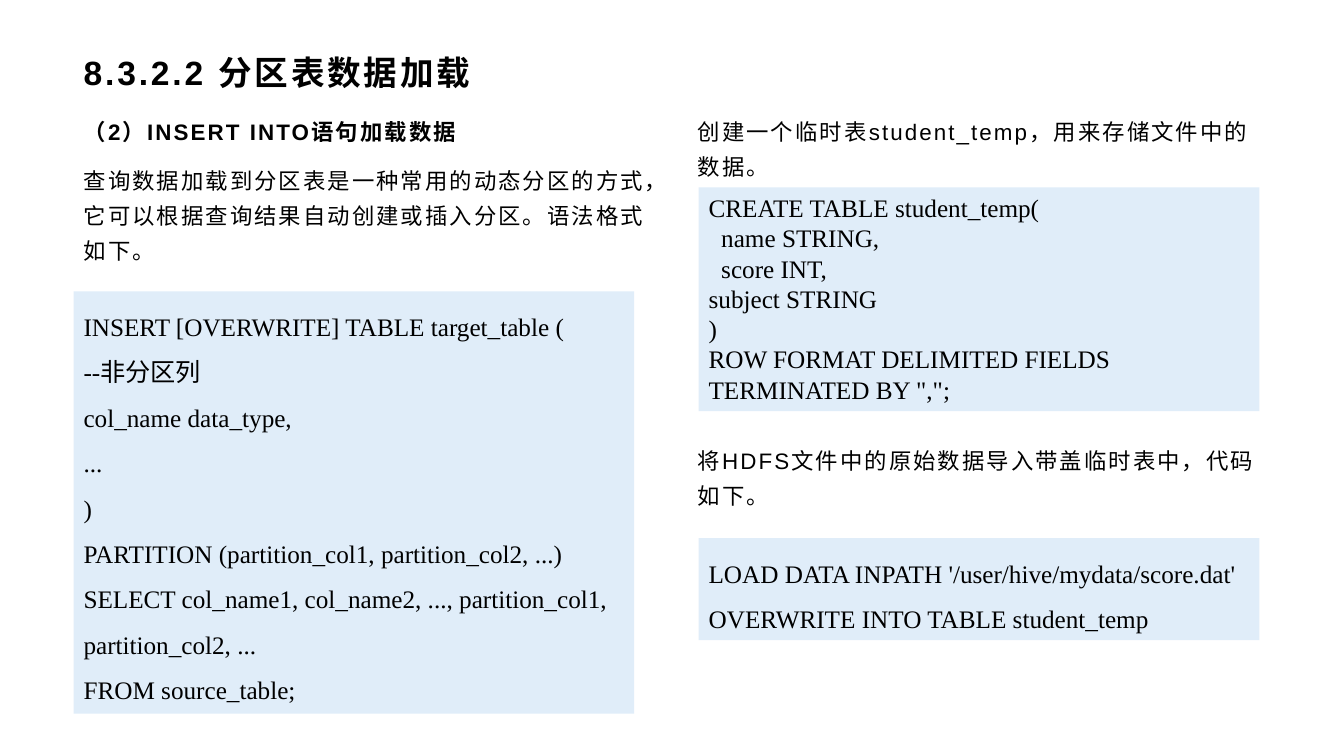
from dataclasses import dataclass

from pptx import Presentation
from pptx.dml.color import RGBColor as Rgb
from pptx.enum.shapes import MSO_SHAPE as Shape
from pptx.enum.text import MSO_ANCHOR as Anchor, MSO_AUTO_SIZE as Fit, PP_ALIGN as Align
from pptx.oxml.ns import qn
from pptx.util import Inches, Pt


@dataclass(frozen=True)
class Theme:
    """Colours, fonts and type sizes of the slide."""
    ink: Rgb = Rgb(0, 0, 0)
    panel: Rgb = Rgb(0xE0, 0xED, 0xF9)
    sans: str = "Arial"
    serif: str = "Times New Roman"
    head: int = 24
    text: int = 16
    code: int = 18


class Deck:
    """Draws on one slide, with places given in percent of its size."""

    def __init__(self, theme):
        """Open a two-column slide."""
        self.theme = theme
        self.prs = Presentation()
        self.prs.slide_width, self.prs.slide_height = Inches(13.33), Inches(7.5)
        self.slide = self.prs.slides.add_slide(self.prs.slide_layouts[3])

    def place(self, x, y, w, h):
        """Turn percentages into lengths."""
        wide, high = self.prs.slide_width, self.prs.slide_height
        return [int(part * full / 100) for part, full in zip((x, y, w, h), (wide, high) * 2)]

    def style(self, para, face, size, bold=False, track=0):
        """Set the font and letter spacing of a paragraph."""
        font = para.font
        font.name, font.size, font.bold = face, Pt(size), bold
        font.color.rgb = self.theme.ink
        para.alignment = Align.LEFT
        para._p.pPr.find(qn("a:defRPr")).set("spc", str(track))

    def holder(self, idx, spot, anchor):
        """Move a placeholder and return its text frame."""
        item = self.slide.placeholders[idx]
        item.left, item.top, item.width, item.height = self.place(*spot)
        frame = item.text_frame
        frame.auto_size, frame.vertical_anchor = Fit.NONE, anchor
        return frame

    def title(self, text, spot):
        """Fill the title."""
        frame = self.holder(0, spot, Anchor.MIDDLE)
        frame.text = text
        self.style(frame.paragraphs[0], self.theme.sans, self.theme.head, True, 200)

    def body(self, idx, spot, items):
        """Fill a body with (text, bold, space before) items."""
        frame = self.holder(idx, spot, Anchor.TOP)
        frame.text = "\n".join(item[0] for item in items)
        for para, (_, bold, gap) in zip(frame.paragraphs, items):
            props = para._p.get_or_add_pPr()
            for key, val in (("marL", "0"), ("indent", "0"), ("hangingPunct", "1")):
                props.set(key, val)
            props.append(props.makeelement(qn("a:buNone"), {}))
            self.style(para, self.theme.sans, self.theme.text, bold, 150)
            para.line_spacing = 1.3
            para.space_before, para.space_after = Pt(gap), Pt(10)

    def code(self, spot, lines, pitch=1.0):
        """Draw a panel of code."""
        box = self.slide.shapes.add_shape(Shape.RECTANGLE, *self.place(*spot))
        box.shadow.inherit = False
        box.fill.solid()
        box.fill.fore_color.rgb = self.theme.panel
        box.line.fill.background()
        frame = box.text_frame
        frame.word_wrap, frame.auto_size = True, Fit.SHAPE_TO_FIT_TEXT
        frame.vertical_anchor = Anchor.TOP
        frame.text = "\n".join(lines)
        for para in frame.paragraphs:
            self.style(para, self.theme.serif, self.theme.code)
            para.line_spacing = pitch


def main():
    """Build the slide and save it."""
    deck = Deck(Theme())
    left, right, top, wide, high = 5.48, 51.16, 13.87, 43.36, 78.53
    inner, span = 51.99, 41.71
    deck.title("8.3.2.2 分区表数据加载", (left, 6.4, 89.05, 6.4))
    deck.body(1, (left, top, wide, high), [
        ("（2）INSERT INTO语句加载数据", True, 0),
        ("查询数据加载到分区表是一种常用的动态分区的方式，它可以根据查询结果自动创建或插入分区。语法格式如下。", False, 0),
    ])
    deck.body(2, (right, top, wide, high), [
        ("创建一个临时表student_temp，用来存储文件中的数据。", False, 0),
        ("将HDFS文件中的原始数据导入带盖临时表中，代码如下。", False, 175),
    ])
    deck.code((left, 38.53, span, 55.87), [
        "INSERT [OVERWRITE] TABLE target_table (",
        "--非分区列",
        "col_name data_type,",
        "...",
        ")",
        "PARTITION (partition_col1, partition_col2, ...)",
        "SELECT col_name1, col_name2, ..., partition_col1, partition_col2, ...",
        "FROM source_table;",
    ], 1.5)
    deck.code((inner, 24.8, span, 29.6), [
        "CREATE TABLE student_temp(",
        "  name STRING,",
        "  score INT,",
        "subject STRING",
        ")",
        'ROW FORMAT DELIMITED FIELDS TERMINATED BY ",";',
    ])
    deck.code((inner, 71.2, span, 13.47), [
        "LOAD DATA INPATH '/user/hive/mydata/score.dat'",
        "OVERWRITE INTO TABLE student_temp",
    ], 1.5)
    deck.prs.save("out.pptx")


if __name__ == "__main__":
    main()
